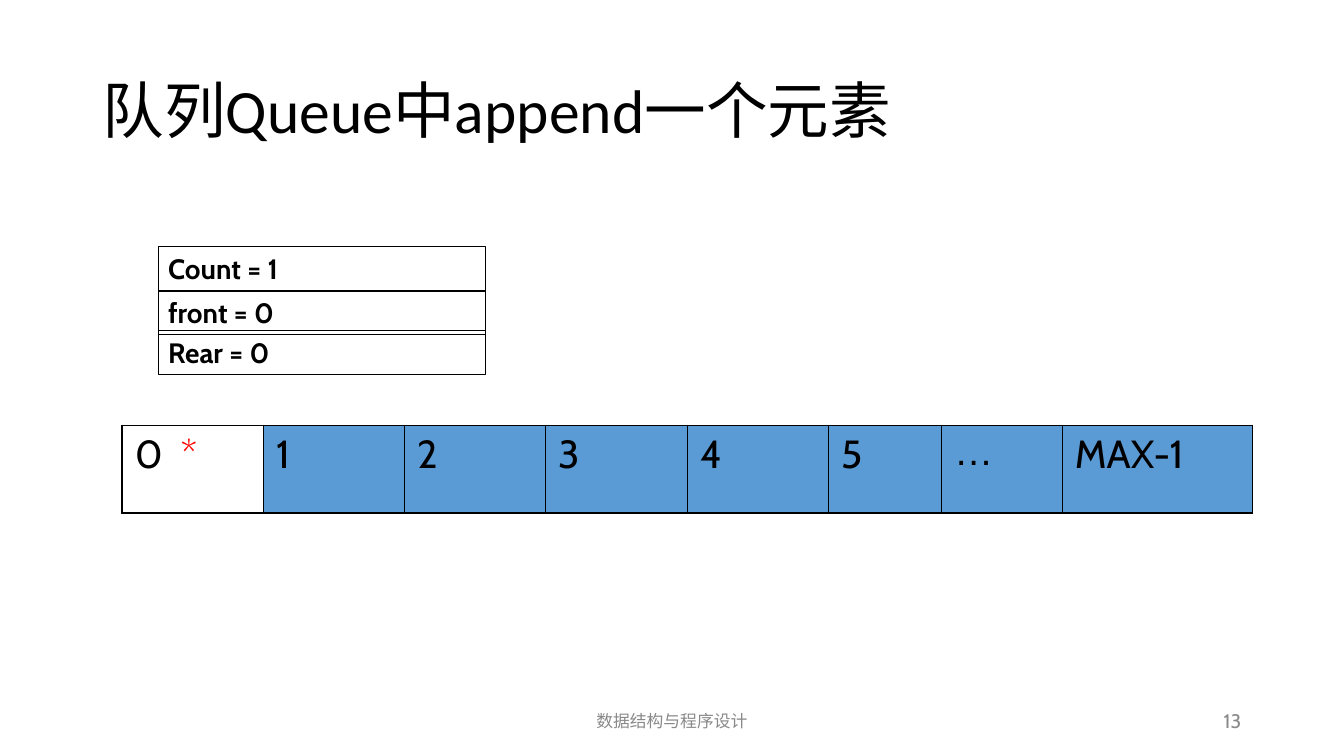
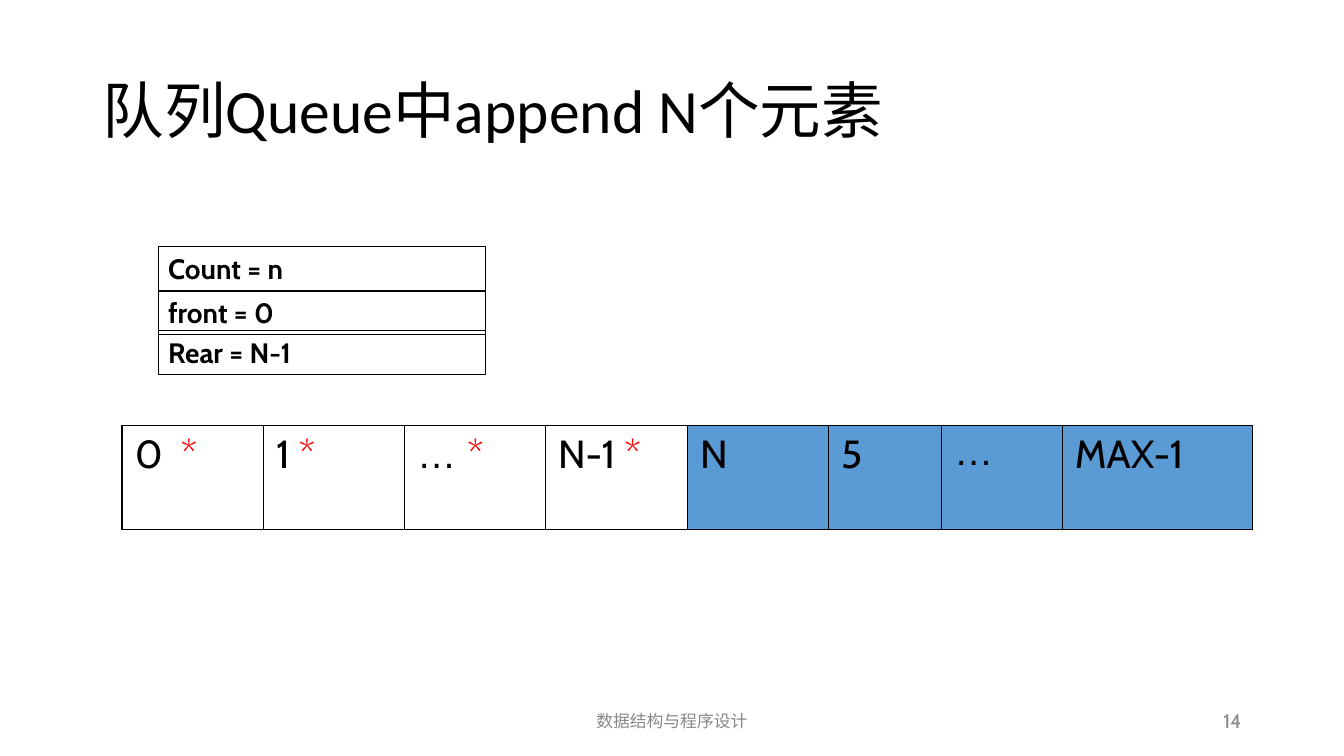
"""Build two slides that show elements being appended to an array queue."""
import pptx
import pptx.dml.color
import pptx.enum.shapes
import pptx.enum.text
import pptx.oxml
import pptx.oxml.ns
import pptx.util

Inches = pptx.util.Inches
Pt = pptx.util.Pt
ALIGN = pptx.enum.text.PP_ALIGN
ANCHOR = pptx.enum.text.MSO_ANCHOR
COLORS = {"text": "000000", "footer": "898989", "mark": "FF0000", "free": "5B9BD5"}
FORMATS = {
    "title": {"name": "Calibri", "size": Pt(44)},
    "footer": {"name": "Cabin", "size": Pt(12)},
    "number": {"name": "Cabin", "size": Pt(14)},
    "field": {"name": "Cabin", "size": Pt(20), "bold": True},
    "cell": {"name": "Cabin", "size": Pt(28)},
    "ellipsis": {"name": "Arial", "size": Pt(28)},
}
TEXT_BOXES = {
    "footer": ((4.42, 6.95, 4.5, 0.4), "footer", {"alignment": ALIGN.CENTER}),
    "number": ((9.42, 6.95, 3, 0.4), "footer", {"alignment": ALIGN.RIGHT}),
    "title": ((0.92, 0.4, 11.5, 1.45), "text", {"line_spacing": 0.9}),
}
FIELD_TOPS = [2.45, 2.88, 3.28]
COLUMN_WIDTHS = [1.4, 1.4, 1.4, 1.41, 1.4, 1.12, 1.2, 1.89]
CELL_MARGINS = {"margin_left": 0.13, "margin_right": 0.13, "margin_top": 0.05, "margin_bottom": 0.05}
TABLE_FLAGS = {"first_row": False, "horz_banding": False}
SLIDES = [
    {
        "title": "队列Queue中append一个元素",
        "number": "13",
        "fields": ["Count = 1", "front = 0", "Rear = 0"],
        "row_height": 0.87,
        "cells": ["0  *", "1", "2", "3", "4", "5", "…", "MAX-1"],
    },
    {
        "title": "队列Queue中append N个元素",
        "number": "14",
        "fields": ["Count = n", "front = 0", "Rear = N-1"],
        "row_height": 1.03,
        "cells": ["0  *", "1 *", "… *", "N-1 *", "N", "5", "…", "MAX-1"],
    },
]


def add_run(paragraph, text, style, color):
    run = paragraph.add_run()
    run.text = text
    for attribute, value in FORMATS[style].items():
        setattr(run.font, attribute, value)
    run.font.color.rgb = pptx.dml.color.RGBColor.from_string(COLORS[color])


def add_border(cell, side, width):
    properties = cell._tc.get_or_add_tcPr()
    properties.append(pptx.oxml.parse_xml(
        f'<a:ln{side} {pptx.oxml.ns.nsdecls("a")} w="{Pt(width)}"><a:solidFill>'
        f'<a:srgbClr val="{COLORS["text"]}"/></a:solidFill></a:ln{side}>'))


presentation = pptx.Presentation()
presentation.slide_width = Inches(13.34)
presentation.slide_height = Inches(7.5)

for content in SLIDES:
    slide = presentation.slides.add_slide(presentation.slide_layouts[6])

    texts = {"footer": "数据结构与程序设计", "number": content["number"], "title": content["title"]}
    for name, (box, color, paragraph_format) in TEXT_BOXES.items():
        frame = slide.shapes.add_textbox(*map(Inches, box)).text_frame
        frame.word_wrap = True
        frame.vertical_anchor = ANCHOR.MIDDLE
        paragraph = frame.paragraphs[0]
        for attribute, value in paragraph_format.items():
            setattr(paragraph, attribute, value)
        add_run(paragraph, texts[name], name, color)

    for top, text in zip(FIELD_TOPS, content["fields"]):
        shape = slide.shapes.add_shape(
            pptx.enum.shapes.MSO_SHAPE.RECTANGLE, Inches(1.57), Inches(top), Inches(3.25), Inches(0.44))
        shape.shadow.inherit = False
        shape.fill.background()
        shape.line.color.rgb = pptx.dml.color.RGBColor.from_string(COLORS["text"])
        shape.line.width = Pt(0.75)
        frame = shape.text_frame
        frame.word_wrap = True
        frame.auto_size = pptx.enum.text.MSO_AUTO_SIZE.SHAPE_TO_FIT_TEXT
        frame.vertical_anchor = ANCHOR.TOP
        paragraph = frame.paragraphs[0]
        paragraph.alignment = ALIGN.LEFT
        paragraph.space_before = Pt(12.5)
        add_run(paragraph, text, "field", "text")

    table = slide.shapes.add_table(
        1, len(COLUMN_WIDTHS), Inches(1.21), Inches(4.22),
        Inches(sum(COLUMN_WIDTHS)), Inches(content["row_height"])).table
    for attribute, value in TABLE_FLAGS.items():
        setattr(table, attribute, value)
    last = len(COLUMN_WIDTHS) - 1
    for index, (width, text) in enumerate(zip(COLUMN_WIDTHS, content["cells"])):
        table.columns[index].width = Inches(width)
        cell = table.cell(0, index)
        for attribute, value in CELL_MARGINS.items():
            setattr(cell, attribute, Inches(value))
        borders = {"L": 1.08 if index == 0 else 0.45, "R": 1.08 if index == last else 0.45, "T": 1.08, "B": 1.08}
        for side, border_width in borders.items():
            add_border(cell, side, border_width)
        label, mark, _ = text.partition("*")
        paragraph = cell.text_frame.paragraphs[0]
        paragraph.space_before = Pt(7)
        add_run(paragraph, label, "ellipsis" if "…" in label else "cell", "text")
        if mark:
            add_run(paragraph, mark, "cell", "mark")
            cell.fill.background()
        else:
            cell.fill.solid()
            cell.fill.fore_color.rgb = pptx.dml.color.RGBColor.from_string(COLORS["free"])

presentation.save("out.pptx")
